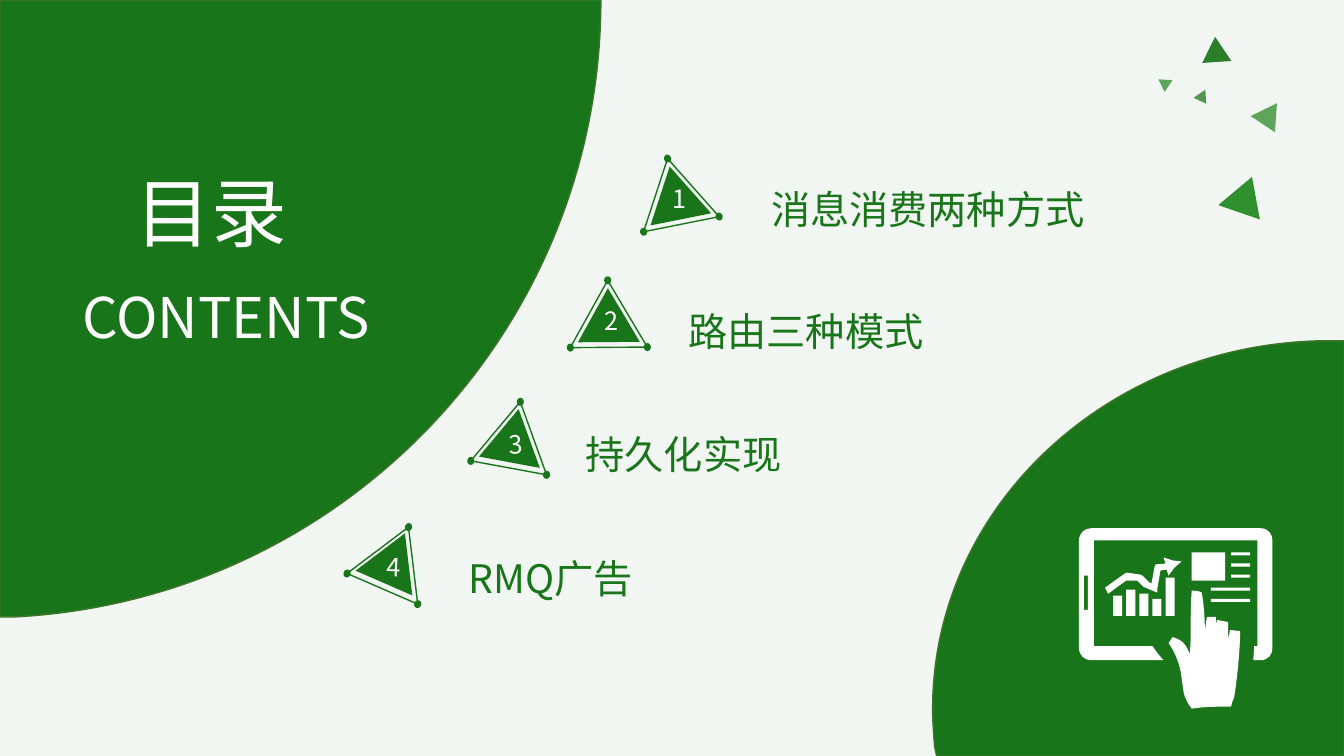
import math

import pptx
import pptx.dml.color
import pptx.enum.shapes
import pptx.enum.text
import pptx.oxml.ns
import pptx.util
from lxml import etree
from pptx.util import Inches

RGBColor = pptx.dml.color.RGBColor
SHAPE = pptx.enum.shapes.MSO_SHAPE
ALIGN = pptx.enum.text.PP_ALIGN
qn = pptx.oxml.ns.qn

GREEN = RGBColor(0x19, 0x75, 0x19)
EDGE = RGBColor(0x3E, 0x75, 0x2A)
PALE = RGBColor(0xF2, 0xF6, 0xF3)
WHITE = RGBColor(0xFF, 0xFF, 0xFF)
LEAF = RGBColor(0x5E, 0xA4, 0x5A)
FONT = "Noto Sans CJK SC"

# Loose triangles: centre x, centre y, width, height, rotation, colour
CONFETTI = [
    (12.59, 1.2, 0.29, 0.25, 153.9, LEAF),
    (12.27, 2.0, 0.43, 0.38, 259.5, RGBColor(0x30, 0x90, 0x30)),
    (12.06, 0.49, 0.29, 0.25, 356.2, RGBColor(0x2B, 0x7E, 0x2A)),
    (11.54, 0.82, 0.14, 0.12, 303.5, LEAF),
    (11.93, 0.98, 0.14, 0.12, 145.8, RGBColor(0x55, 0x95, 0x51)),
]

# Entries: text, text left, text top, badge centre, badge rotation,
# number box left, number box top, number rotation
ENTRIES = [
    ("消息消费两种方式", 7.55, 1.79, (6.63, 2.08), 228.4, 6.57, 1.77, 0),
    ("路由三种模式", 6.73, 3.0, (5.94, 3.28), 239.3, 5.9, 2.98, 0),
    ("持久化实现", 5.71, 4.22, (4.98, 4.46), 250.2, 4.95, 4.21, 356.4),
    ("RMQ广告", 4.55, 5.45, (3.77, 5.65), 263.2, 3.74, 5.42, 2.1),
]

# Outlines: a pair is a corner, six numbers are a Bézier curve
TOP_PANEL = [(0, 0), (5.96, 0), (5.96, 3.28, 3.39, 5.95, 0.15, 6.12), (0, 6.12)]
BOTTOM_PANEL = [(13.19, 3.38), (13.33, 3.38), (13.33, 7.5), (9.29, 7.5), (9.27, 7.41),
                (9.26, 7.28, 9.25, 7.16, 9.25, 7.03), (9.25, 5.01, 11.02, 3.38, 13.19, 3.38)]
TABLET = [(10.82, 5.24), (12.5, 5.24), (12.58, 5.24, 12.62, 5.3, 12.62, 5.36), (12.62, 6.43),
          (12.62, 6.49, 12.58, 6.55, 12.5, 6.55), (12.43, 6.55), (12.44, 6.41), (12.47, 6.41),
          (12.47, 5.36), (10.85, 5.36), (10.85, 6.41), (11.43, 6.41), (11.48, 6.48),
          (11.54, 6.55), (10.82, 6.55), (10.75, 6.55, 10.7, 6.49, 10.7, 6.43), (10.7, 5.36),
          (10.7, 5.3, 10.75, 5.24, 10.82, 5.24)]
TREND = [(10.96, 5.83), (10.99, 5.89), (11.17, 5.76), (11.28, 5.76), (11.34, 5.82),
         (11.36, 5.83), (11.48, 5.88), (11.48, 5.83), (11.51, 5.66), (11.57, 5.65),
         (11.59, 5.71), (11.65, 5.63), (11.72, 5.57), (11.63, 5.56), (11.54, 5.53),
         (11.56, 5.59), (11.46, 5.6), (11.45, 5.63), (11.42, 5.79), (11.39, 5.77),
         (11.33, 5.71), (11.31, 5.7), (11.17, 5.68)]
HAND = [(11.95, 6.26), (11.95, 6.14, 11.94, 6, 11.92, 5.88), (11.89, 5.86, 11.85, 5.86, 11.82, 5.86),
        (11.8, 6.08, 11.82, 6.28, 11.8, 6.49), (11.77, 6.41, 11.74, 6.35, 11.63, 6.32),
        (11.62, 6.35, 11.6, 6.35, 11.59, 6.38), (11.65, 6.46, 11.69, 6.57, 11.71, 6.66),
        (11.74, 6.87), (11.75, 6.92, 11.78, 6.98, 11.82, 7.03),
        (11.95, 7.01, 12.06, 7.01, 12.21, 7.01), (12.21, 6.98, 12.23, 6.95, 12.24, 6.92),
        (12.27, 6.75, 12.3, 6.43, 12.3, 6.26), (12.2, 6.25), (12.18, 6.35), (12.18, 6.17),
        (12.07, 6.15), (12.06, 6.2), (12.06, 6.12), (11.97, 6.12)]
BAR_TOPS = [5.91, 5.85, 5.89, 5.94, 5.73]


def paint(sp, fill=None, line=None):
    sp.shadow.inherit = False
    if fill is None:
        sp.fill.background()
    else:
        sp.fill.solid()
        sp.fill.fore_color.rgb = fill
    if line is None:
        sp.line.fill.background()
    else:
        sp.line.color.rgb = line
        sp.line.width = pptx.util.Pt(1)


def add_centred(shapes, kind, cx, cy, w, h, rotation, fill=None, line=None):
    sp = shapes.add_shape(kind, Inches(cx - w / 2), Inches(cy - h / 2), Inches(w), Inches(h))
    sp.rotation = rotation
    paint(sp, fill, line)


def add_text(shapes, text, left, top, width, height, size, color, align=ALIGN.LEFT, rotation=0):
    sp = shapes.add_textbox(Inches(left), Inches(top), Inches(width), Inches(height))
    sp.rotation = rotation
    tf = sp.text_frame
    tf.word_wrap = True
    tf.auto_size = pptx.enum.text.MSO_AUTO_SIZE.SHAPE_TO_FIT_TEXT
    p = tf.paragraphs[0]
    p.alignment = align
    r = p.add_run()
    r.text = text
    r.font.color.rgb = color
    for key, value in {"size": pptx.util.Pt(size), "name": FONT}.items():
        setattr(r.font, key, value)
    etree.SubElement(r.font._element, qn("a:ea")).set("typeface", FONT)


def add_outline(shapes, outlines, fill, line=None):
    """Join the end points by lines, then bend the lines that are curves."""
    contours = [[(Inches(x), Inches(y)) for *_, x, y in outline] for outline in outlines]
    builder = shapes.build_freeform(*contours[0][0])
    for i, pts in enumerate(contours):
        if i:
            builder.move_to(*pts[0])
        builder.add_line_segments(pts[1:], close=True)
    sp = builder.convert_to_shape()
    nodes = [node for outline in outlines for node in outline[1:]]
    for node, segment in zip(nodes, list(sp._element.iter(qn("a:lnTo")))):
        if len(node) == 6:
            segment.tag = qn("a:cubicBezTo")
            for i in (0, 1):
                pt = etree.Element(qn("a:pt"))
                pt.set("x", str(Inches(node[2 * i]) - sp.left))
                pt.set("y", str(Inches(node[2 * i + 1]) - sp.top))
                segment.insert(i, pt)
    paint(sp, fill, line)


def box(left, top, right, bottom):
    return [(left, top), (left, bottom), (right, bottom), (right, top)]


def add_badge(shapes, number, centre, rotation, left, top, number_rotation):
    group = shapes.add_group_shape().shapes
    cx, cy = centre
    w, h = 0.77, 0.66
    add_centred(group, SHAPE.ISOSCELES_TRIANGLE, cx, cy, w, h, rotation, line=GREEN)
    add_centred(group, SHAPE.ISOSCELES_TRIANGLE, cx + 0.02, cy - 0.02, 0.62, 0.53, rotation, GREEN)
    # A dot on each corner of the turned triangle
    cos, sin = math.cos(math.radians(rotation)), math.sin(math.radians(rotation))
    for x, y in [(-w / 2, h / 2), (0, -h / 2), (w / 2, h / 2)]:
        add_centred(group, SHAPE.OVAL, cx + x * cos - y * sin, cy + x * sin + y * cos,
                    0.07, 0.08, rotation - 63.4, GREEN)
    add_text(group, str(number), left, top, 0.25, 0.4, 18, WHITE, ALIGN.CENTER, number_rotation)


def add_tablet(shapes):
    bars = [box(11.04 + 0.13 * i, top, 11.13 + 0.13 * i, 6.11) for i, top in enumerate(BAR_TOPS)]
    short_lines = [box(12.21, 5.48 + 0.11 * i, 12.4, 5.51 + 0.11 * i) for i in range(3)]
    long_lines = [box(12.01, 5.83 + 0.11 * i, 12.4, 5.86 + 0.11 * i) for i in range(2)]
    screen_block, button = box(11.82, 5.48, 12.15, 5.76), box(10.75, 5.71, 10.79, 6.05)
    add_outline(shapes, [TABLET, button, TREND, HAND, screen_block,
                         *bars, *short_lines, *long_lines], WHITE)


def main():
    prs = pptx.Presentation()
    prs.slide_width, prs.slide_height = Inches(13.33), Inches(7.5)
    s = prs.slides.add_slide(prs.slide_layouts[6])
    s.background.fill.solid()
    s.background.fill.fore_color.rgb = PALE

    # Loose triangles at the top right
    for cx, cy, w, h, rotation, color in CONFETTI:
        add_centred(s.shapes, SHAPE.ISOSCELES_TRIANGLE, cx, cy, w, h, rotation, color)

    # Contents entries
    for number, (text, left, top, *badge) in enumerate(ENTRIES, 1):
        add_text(s.shapes, text, left, top, 4.99, 0.57, 28, GREEN)
        add_badge(s.shapes, number, *badge)

    # Title panel
    add_outline(s.shapes, [TOP_PANEL], GREEN, EDGE)
    add_text(s.shapes, "目录", 1.25, 1.6, 2.08, 1.01, 54, WHITE, ALIGN.JUSTIFY)
    add_text(s.shapes, "CONTENTS", 0.72, 2.75, 3.37, 0.77, 40, WHITE, ALIGN.JUSTIFY)

    # Corner panel with the tablet icon
    add_outline(s.shapes, [BOTTOM_PANEL], GREEN, EDGE)
    add_tablet(s.shapes)

    prs.save("out.pptx")


if __name__ == "__main__":
    main()
